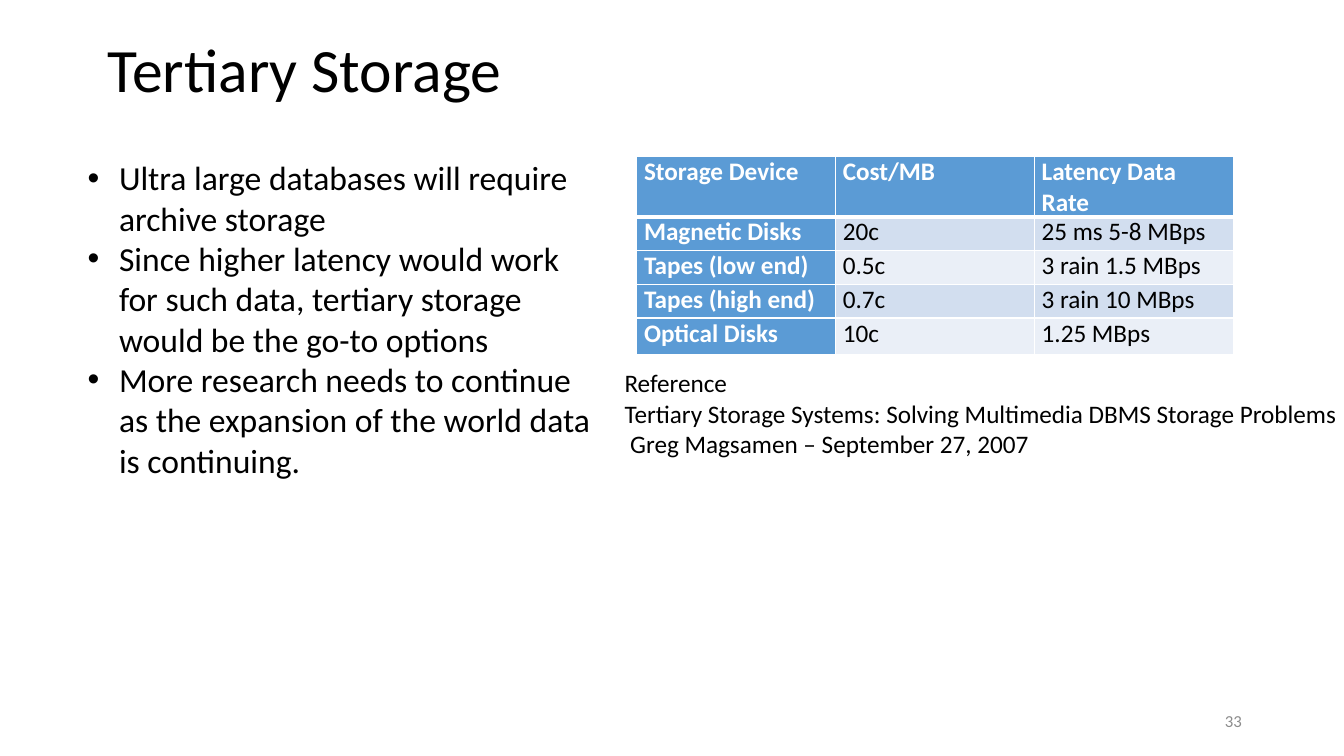
"""Builds the Tertiary Storage slide with bullets, a cost table and a reference."""
from lxml import etree
from pptx import Presentation
from pptx import util as u
from pptx.dml.color import RGBColor
from pptx.enum import text
from pptx.oxml import parse_xml
from pptx.oxml.ns import nsdecls, qn

BLUE, WHITE, BLACK = "5B9BD5", "FFFFFF", "000000"
BANDS = ["EAEFF7", "D2DEEF"]


def rgb(value):
    return RGBColor.from_string(value)


def write(tf, lines, size, color=BLACK, bold=False, **layout):
    tf.text = "\n".join(lines)
    for p in tf.paragraphs:
        for name, value in layout.items():
            setattr(p, name, value)
        for r in p.runs:
            font = {"name": "Calibri", "size": u.Pt(size), "bold": bold}
            for name, value in font.items():
                setattr(r.font, name, value)
            r.font.color.rgb = rgb(color)


prs = Presentation()
prs.slide_width, prs.slide_height = u.Cm(33.87), u.Cm(19.05)
s = prs.slides.add_slide(prs.slide_layouts[5])

title = s.shapes.title
place = {"left": 2.46, "top": 0, "width": 29.06, "height": 3.68}
for name, value in place.items():
    setattr(title, name, u.Cm(value))
title.text_frame.vertical_anchor = text.MSO_ANCHOR.MIDDLE
title.text_frame.auto_size = text.MSO_AUTO_SIZE.NONE
write(title.text_frame, ["Tertiary Storage"], 44,
      alignment=text.PP_ALIGN.LEFT, line_spacing=0.9)

bullets = [
    "Ultra large databases will require archive storage",
    "Since higher latency would work for such data, tertiary storage would be the go-to options",
    "More research needs to continue as the expansion of the world data is continuing.",
]
reference = [
    "Reference",
    "Tertiary Storage Systems: Solving Multimedia DBMS Storage Problems",
    "\u00a0Greg Magsamen – September 27, 2007".replace("\u00a0", " "),
]
GROW, FIXED = text.MSO_AUTO_SIZE.SHAPE_TO_FIT_TEXT, text.MSO_AUTO_SIZE.NONE
TOP, MIDDLE = text.MSO_ANCHOR.TOP, text.MSO_ANCHOR.MIDDLE
LEFT, RIGHT = text.PP_ALIGN.LEFT, text.PP_ALIGN.RIGHT
boxes = [
    ((1.96, 3.84, 13.54, 8.46), bullets, 24, BLACK, LEFT, TOP, GROW, True),
    ((23.93, 17.65, 7.62, 1.02), ["33"], 12, "8C8C8C", RIGHT, MIDDLE, FIXED, True),
    ((15.49, 9.14, 19.05, 3.33), reference, 18, BLACK, LEFT, TOP, GROW, False),
]
for box, lines, size, color, align, anchor, fit, wrap in boxes:
    tf = s.shapes.add_textbox(*map(u.Cm, box)).text_frame
    frame = {"word_wrap": wrap, "auto_size": fit, "vertical_anchor": anchor}
    for name, value in frame.items():
        setattr(tf, name, value)
    write(tf, lines, size, color, alignment=align)
    if lines is bullets:
        for p in tf.paragraphs:
            pPr = p._p.get_or_add_pPr()
            pPr.set("marL", str(u.Cm(0.79)))
            pPr.set("indent", str(u.Cm(-0.79)))
            etree.SubElement(pPr, qn("a:buFont")).set("typeface", "Arial")
            etree.SubElement(pPr, qn("a:buChar")).set("char", "•")

devices = [
    ["Storage Device", "Cost/MB", "Latency Data Rate"],
    ["Magnetic Disks", "20c", "25 ms 5-8 MBps"],
    ["Tapes (low end)", "0.5c", "3 rain 1.5 MBps"],
    ["Tapes (high end)", "0.7c", "3 rain 10 MBps"],
    ["Optical Disks", "10c", "1.25 MBps"],
]
table = s.shapes.add_table(5, 3, u.Cm(16.05), u.Cm(3.94), u.Cm(15.02), u.Cm(4.27)).table
table.first_col = True
for col in table.columns:
    col.width = u.Cm(5.01)
for row, height in zip(table.rows, [0.85, 0.85, 0.85, 0.85, 0.91]):
    row.height = u.Cm(height)
for i, row in enumerate(devices):
    for j, value in enumerate(row):
        cell = table.cell(i, j)
        head = i == 0 or j == 0
        margins = {"margin_left": 0.18, "margin_right": 0.18,
                   "margin_top": 0, "margin_bottom": 0}
        for name, margin in margins.items():
            setattr(cell, name, u.Cm(margin))
        write(cell.text_frame, [value], 18, WHITE if head else BLACK, head)
        cell.fill.solid()
        cell.fill.fore_color.rgb = rgb(BLUE if head else BANDS[i % 2])
        for k, side in enumerate("LRTB"):
            heavy = (i == 0 and side == "B") or (i == 1 and side == "T")
            cell._tc.get_or_add_tcPr().insert(k, parse_xml(
                f'<a:ln{side} {nsdecls("a")} w="{u.Pt(3 if heavy else 1)}"><a:solidFill>'
                f'<a:srgbClr val="{WHITE}"/></a:solidFill></a:ln{side}>'))

prs.save("out.pptx")
